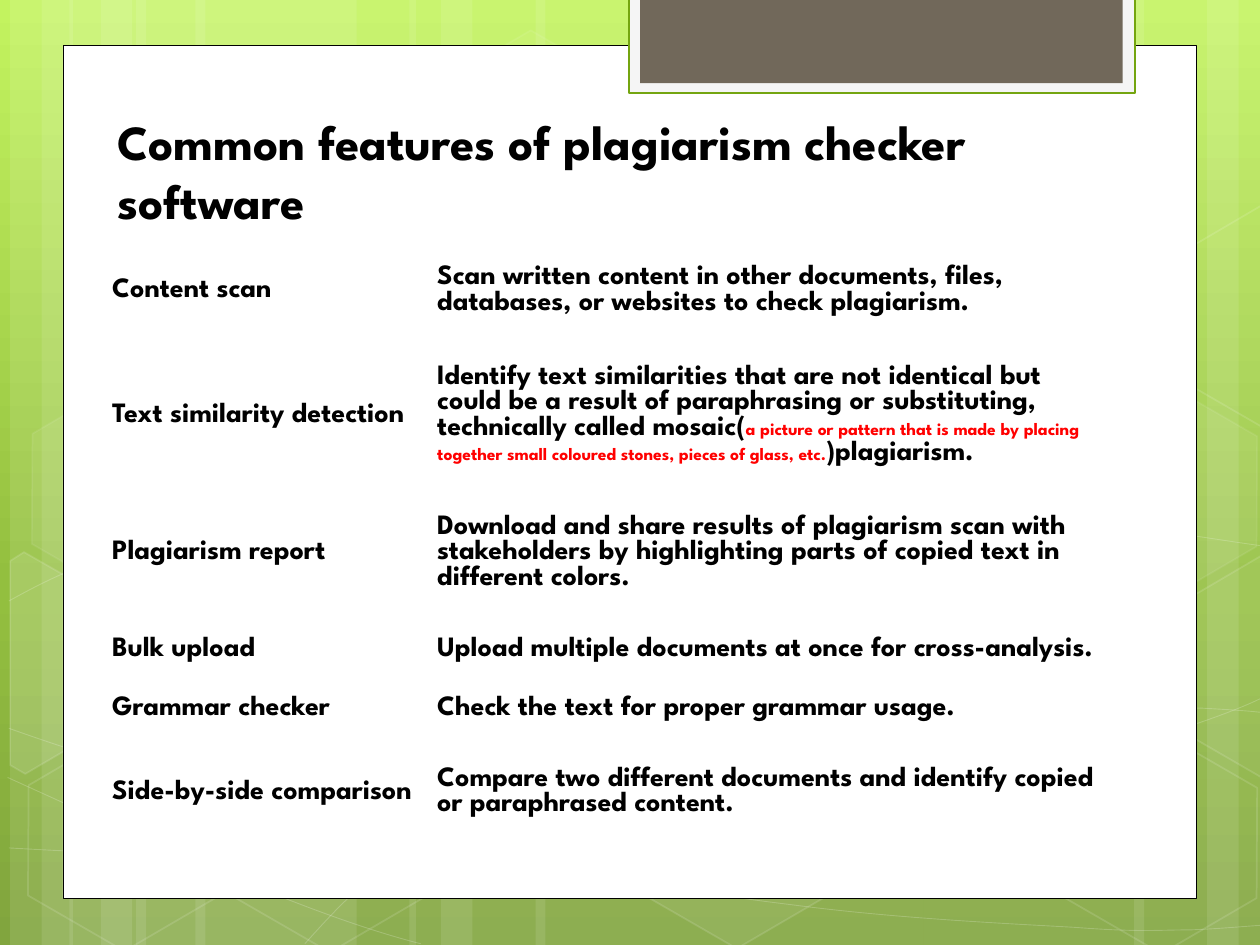
import copy
import math

import pptx
import pptx.dml.color
import pptx.enum.shapes
import pptx.enum.text
import pptx.oxml.ns
import pptx.util
from lxml import etree

# Content
TITLE = "Common features of plagiarism checker software"
FEATURES = [
    ("Content scan", ["Scan written content in other documents, files, databases, "
                      "or websites to check plagiarism."]),
    ("Text similarity detection", [
        "Identify text similarities that are not identical but could be a result of "
        "paraphrasing or substituting, technically called mosaic(",
        ("a picture or pattern that is made by placing together small coloured stones, "
         "pieces of glass, etc.",),
        ")plagiarism."]),
    ("Plagiarism report", ["Download and share results of plagiarism scan with stakeholders "
                           "by highlighting parts of copied text in different colors."]),
    ("Bulk upload", ["Upload multiple documents at once for cross-analysis."]),
    ("Grammar checker", ["Check the text for proper grammar usage."]),
    ("Side-by-side comparison", ["Compare two different documents and identify copied "
                                 "or paraphrased content."]),
]
COLUMN_WIDTHS = [2.58, 5.42]
ROW_HEIGHTS = [0.86, 1.12, 1.06, 0.47, 0.47, 0.86]

# Style
FONT = "League Spartan"
COLORS = {"white": "FFFFFF", "black": "000000", "note": "FF0000", "tab": "F5F5F5",
          "tab line": "74A510", "tab core": "71685A"}
GRADIENT = [(0, "C3F35F"), (62, "93BF3F"), (100, "81A53E")]

# Backdrop: vertical bands (left, width, rotation)
BANDS = [(1.08, 1.75, 0), (0.08, 0.5, 0), (0.33, 0.83, 0), (1.55, 1.75, 0), (0.55, 0.5, 0),
         (0.8, 0.83, 0), (7.33, 1.75, 180), (9.58, 0.5, 180), (9, 0.83, 180),
         (4.25, 3.08, 0), (3.25, 0.5, 0), (3.5, 0.83, 0)]
# Backdrop: curves, a start point, then three points per Bezier segment or one per line
CURVES = [
    [(0.07, 6.73), [(0.61, 6.76), (1.15, 6.79), (1.9, 6.78)],
     [(2.65, 6.77), (3.58, 6.75), (4.58, 6.65)], [(5.58, 6.55), (7, 6.36), (7.92, 6.17)],
     [(8.83, 5.98), (9.77, 5.68), (10.07, 5.51)]],
    [(0.07, 4.77), [(0.36, 4.61), (0.65, 4.46), (1.21, 4.31)],
     [(1.78, 4.16), (2.59, 3.94), (3.47, 3.87)], [(4.36, 3.8), (5.44, 3.79), (6.54, 3.87)],
     [(7.64, 3.95), (9.47, 4.26), (10.07, 4.34)]],
    [(0.06, 6.17), [(1.27, 6.72), (2.47, 7.27), (3.34, 7.49)]],
    [(0.07, 5.78), [(0.38, 5.89), (0.7, 6), (1.28, 6.16)],
     [(1.86, 6.31), (2.73, 6.56), (3.57, 6.73)], [(4.4, 6.9), (5.45, 7.08), (6.28, 7.18)],
     [(7.11, 7.29), (8, 7.33), (8.53, 7.36)], [(9.05, 7.4), (9.19, 7.38), (9.45, 7.38)],
     [(9.71, 7.37), (9.89, 7.35), (10.07, 7.34)]],
    [(2.42, 7.49), [(2.6, 7.29), (2.78, 7.09), (3.02, 6.91)],
     [(3.26, 6.73), (3.6, 6.53), (3.88, 6.39)], [(4.16, 6.25), (4.33, 6.19), (4.7, 6.09)],
     [(5.06, 5.99), (5.73, 5.85), (6.08, 5.78)], [(6.44, 5.71), (6.49, 5.71), (6.8, 5.69)],
     [(7.11, 5.66), (7.6, 5.63), (7.94, 5.62)], [(8.29, 5.61), (8.86, 5.62), (8.86, 5.62)],
     [(9.53, 5.62)], [(9.71, 5.63), (9.88, 5.64), (9.97, 5.65)],
     [(10.06, 5.66), (10.03, 5.65), (10.06, 5.66)]],
]
# Backdrop: hexagons (left, top, fill opacity, line opacity)
HEXAGON_TILT = 30
HEXAGONS = [(3.34, 0.36, 4, 8), (4.97, 5.89, 6, 12), (0.11, 5.91, 0, 12), (0.14, 3.12, 7, 8),
            (1.74, 5.92, 0, 12), (7.53, 4.53, 10, 12), (8.34, 5.93, 0, 12),
            (8.34, 3.14, 7, 8)]
# Backdrop: hexagons cut by the edges (centre, corners as they appear, fill opacity)
CUT_HEXAGONS = [
    ((0.36, 5.35), [(0.08, 4.45), (0.19, 4.38), (0.96, 4.82), (0.95, 5.7), (0.2, 6.14),
                    (0.08, 6.07)], 10),
    ((9.85, 5.2), [(9.26, 4.85), (10.01, 4.41), (10.09, 4.46), (10.09, 6.13),
                   (10.02, 6.17), (9.26, 5.73)], 4),
    ((9.85, 2.41), [(9.26, 2.07), (10.01, 1.63), (10.1, 1.68), (10.09, 3.35),
                    (10.02, 3.39), (9.26, 2.95)], 0),
]

inches = pptx.util.Inches
qn = pptx.oxml.ns.qn
SHAPE = pptx.enum.shapes.MSO_SHAPE


def paint(fill, color, opacity=100):
    """Solid colour at an opacity in percent; no fill at zero."""
    if not opacity:
        fill.background()
        return
    fill.solid()
    fill.fore_color.rgb = pptx.dml.color.RGBColor.from_string(COLORS[color])
    if opacity < 100:
        element = fill._xPr.find(qn("a:solidFill"))[0]
        etree.SubElement(element, qn("a:alpha")).set("val", str(opacity * 1000))


def style(shape, fill="white", opacity=100, line="white", width=0, line_opacity=100):
    shape.shadow.inherit = False
    paint(shape.fill, fill, opacity)
    if width:
        shape.line.width = pptx.util.Pt(width)
    paint(shape.line.fill, line, line_opacity if width else 0)


def add_box(slide, kind, box, **look):
    shape = slide.shapes.add_shape(kind, *map(inches, box))
    style(shape, **look)
    return shape


def add_outline(slide, points, close, **look):
    points = [(inches(x), inches(y)) for x, y in points]
    builder = slide.shapes.build_freeform(*points[0], scale=1.0)
    builder.add_line_segments(points[1:], close=close)
    shape = builder.convert_to_shape()
    style(shape, **look)
    return shape


def add_curve(slide, start, *segments):
    points = [start] + [point for segment in segments for point in segment]
    shape = add_outline(slide, points, False, opacity=0, width=0.5, line_opacity=20)
    lines = iter(shape._element.findall(".//" + qn("a:lnTo")))
    for segment in segments:
        controls = [next(lines) for _ in segment]
        if len(segment) == 3:  # three straight steps become one Bezier segment
            bezier = etree.Element(qn("a:cubicBezTo"))
            controls[0].addprevious(bezier)
            for control in controls:
                bezier.append(control[0])
                control.getparent().remove(control)


def turn(point, centre, degrees):
    angle = math.radians(degrees)
    x, y = point[0] - centre[0], point[1] - centre[1]
    return (centre[0] + x * math.cos(angle) - y * math.sin(angle),
            centre[1] + x * math.sin(angle) + y * math.cos(angle))


def add_run(paragraph, text, size, color="black"):
    run = paragraph.add_run()
    run.text = text
    run.font.name, run.font.size, run.font.bold = FONT, pptx.util.Pt(size), True
    paint(run.font.fill, color)


def add_background(slide):
    fill = slide.background.fill
    fill.gradient()
    fill.gradient_angle = 270
    stops = slide._element.find(".//" + qn("a:gsLst"))
    stops.insert(1, copy.deepcopy(stops[0]))
    for stop, (position, color) in zip(stops, GRADIENT):
        stop.set("pos", str(position * 1000))
        for child in list(stop):
            stop.remove(child)
        etree.SubElement(stop, qn("a:srgbClr")).set("val", color)


def add_backdrop(slide):
    for left, width, rotation in BANDS:
        add_box(slide, SHAPE.RECTANGLE, (left, 0, width, 7.5), opacity=10).rotation = rotation
    for curve in CURVES:
        add_curve(slide, *curve)
    for left, top, opacity, line_opacity in HEXAGONS:
        hexagon = add_box(slide, SHAPE.HEXAGON, (left, top, 1.75, 1.52), opacity=opacity,
                          width=1, line_opacity=line_opacity)
        hexagon.adjustments[0] = 0.285
        hexagon.rotation = HEXAGON_TILT
    for centre, corners, opacity in CUT_HEXAGONS:
        upright = [turn(corner, centre, -HEXAGON_TILT) for corner in corners]
        add_outline(slide, upright, True, opacity=opacity, width=1,
                    line_opacity=12).rotation = HEXAGON_TILT


def add_title(slide):
    title = slide.shapes.title
    slide.shapes._spTree.append(title._element)  # in front of the page
    title.left, title.top, title.width, title.height = map(inches, (0.83, 0.83, 8.33, 1.04))
    title.text_frame.word_wrap = True
    title.text_frame.vertical_anchor = pptx.enum.text.MSO_ANCHOR.BOTTOM
    paragraph = title.text_frame.paragraphs[0]
    paragraph.alignment = pptx.enum.text.PP_ALIGN.LEFT
    add_run(paragraph, TITLE, 28)


def add_features(slide):
    table = slide.shapes.add_table(
        len(FEATURES), len(COLUMN_WIDTHS), inches(0.84), inches(1.88),
        inches(sum(COLUMN_WIDTHS)), inches(sum(ROW_HEIGHTS))).table
    table.first_row = table.horz_banding = False
    for column, width in zip(table.columns, COLUMN_WIDTHS):
        column.width = inches(width)
    for row, height, (name, description) in zip(table.rows, ROW_HEIGHTS, FEATURES):
        row.height = inches(height)
        for cell, parts in zip(row.cells, ([name], description)):
            cell.fill.background()
            cell.vertical_anchor = pptx.enum.text.MSO_ANCHOR.MIDDLE
            cell.margin_left = cell.margin_right = inches(0.05)
            cell.margin_top = cell.margin_bottom = inches(0.03)
            for part in parts:
                if isinstance(part, tuple):  # small side note
                    add_run(cell.text_frame.paragraphs[0], part[0], 10, "note")
                else:
                    add_run(cell.text_frame.paragraphs[0], part, 16)


def main():
    presentation = pptx.Presentation()
    presentation.slide_width, presentation.slide_height = inches(10), inches(7.5)
    slide = presentation.slides.add_slide(presentation.slide_layouts[5])
    add_background(slide)
    add_backdrop(slide)
    # White page with a tab at the top
    add_box(slide, SHAPE.RECTANGLE, (0.5, 0.36, 9, 6.77), line="black", width=0.5)
    add_box(slide, SHAPE.RECTANGLE, (4.99, -0.02, 4.02, 0.76), fill="tab", line="tab line",
            width=1.25)
    add_box(slide, SHAPE.RECTANGLE, (5.08, -0.02, 3.83, 0.68), fill="tab core")
    add_title(slide)
    add_features(slide)
    presentation.save("out.pptx")


if __name__ == "__main__":
    main()
